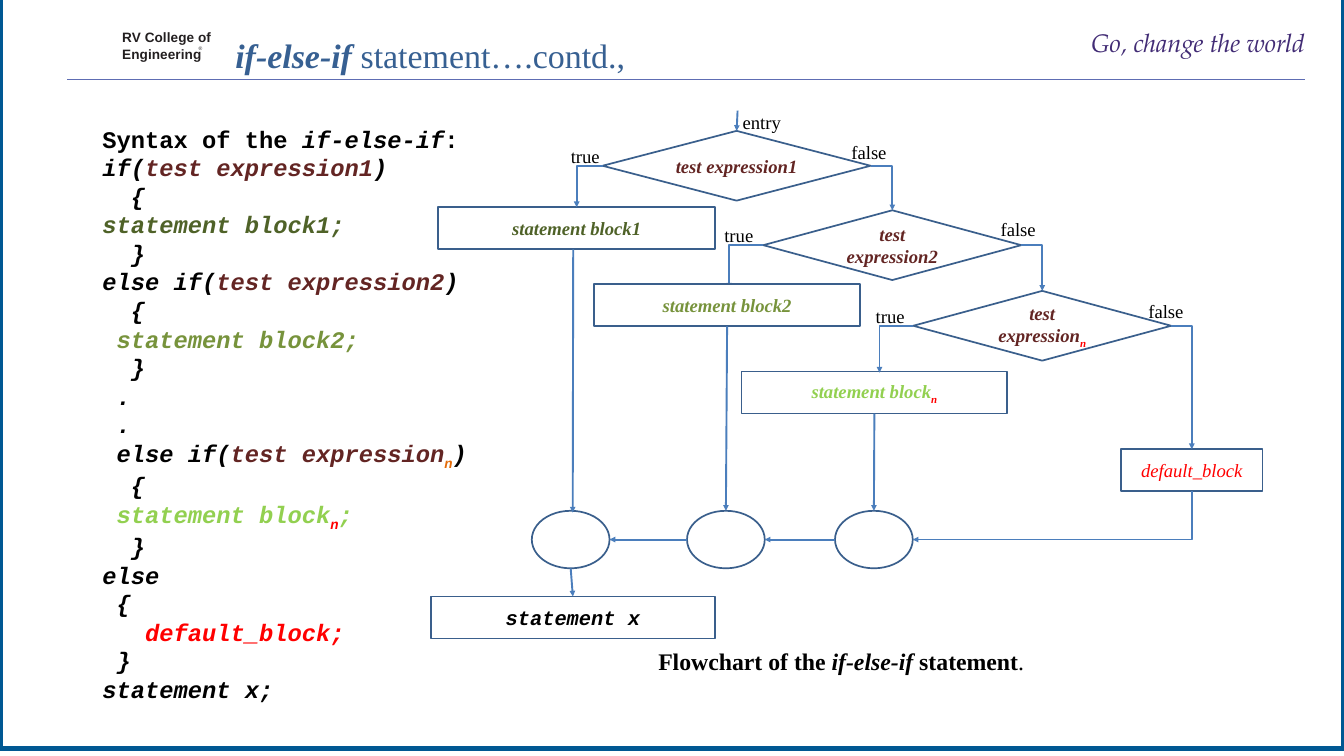
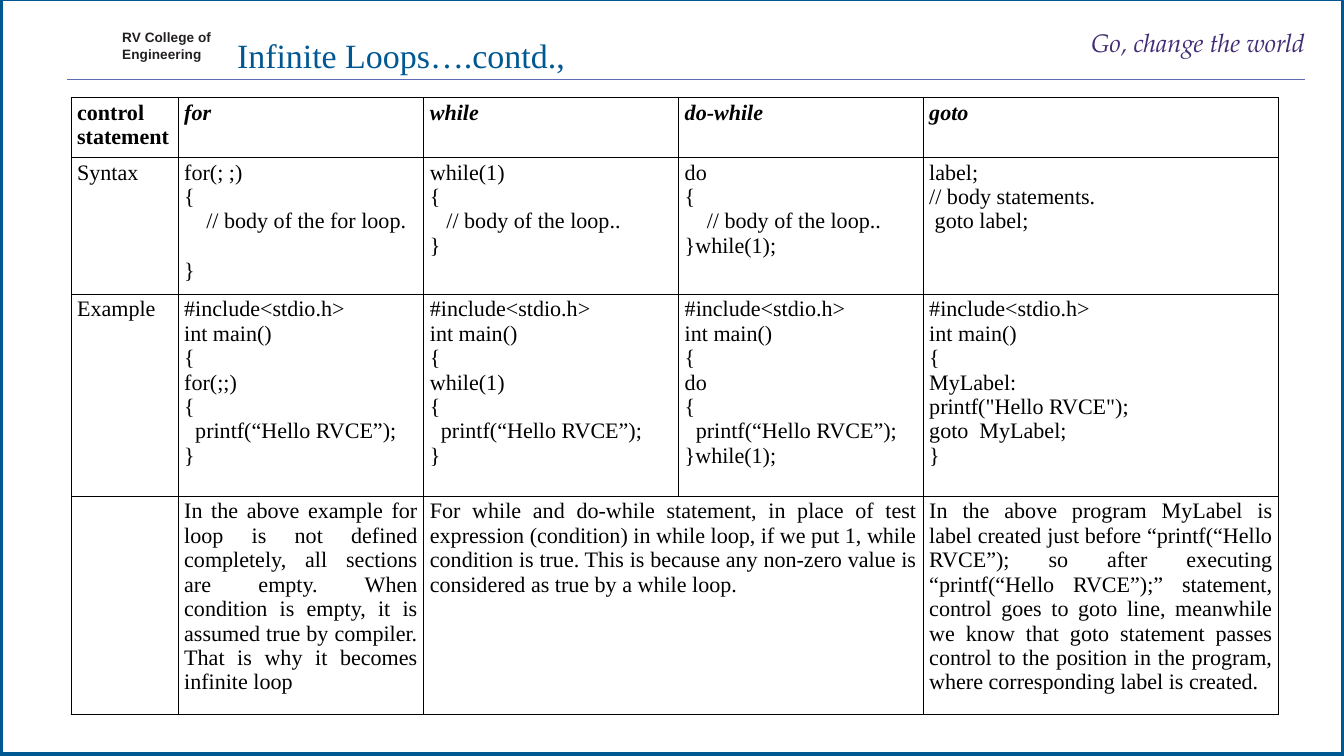
from lxml import etree
from pptx import Presentation, util as u
from pptx.dml.color import RGBColor
from pptx.enum import shapes, text
from pptx.oxml.ns import qn

Cm, Pt = u.Cm, u.Pt
COLORS = {
    "frame": "005893", "rule": "5E6DB3", "school": "231F20", "motto": "422C75",
    "title": "376092", "outline": "3A5F8C", "arrow": "4B7EBC", "black": "000000",
    "white": "FFFFFF", "test": "632523", "block1": "4F6228", "block2": "77933C",
    "blockn": "92D050", "red": "FF0000", "orange": "E46C0A",
}
SERIF, MONO = "Times New Roman", "Courier New"
TOP, LEFT, BOTTOM, RIGHT = range(4)
WIDTH, HEIGHT = 55.85, 31.42
START = "#include<stdio.h>\nint main()\n{\n"
TABLE_COLUMNS = [4.45, 10.21, 10.59, 10.16, 14.78]
TABLE_ROWS = [2.48, 5.33, 8.4, 8.4]
TABLE_TEXT = [
    ["control statement", "for", "while", "do-while", "goto"],
    ["Syntax",
     "for(; ;)\n{\n    // body of the for loop.\n}",
     "while(1)\n{\n   // body of the loop..\n}",
     "do\n{\n    // body of the loop..\n}while(1);",
     "label;\n// body statements.\n goto label;"],
    ["Example",
     START + "for(;;)\n{\n  printf(“Hello RVCE”);\n}",
     START + "while(1)\n{\n  printf(“Hello RVCE”);\n}",
     START + "do\n{\n  printf(“Hello RVCE”);\n}while(1);",
     START + 'MyLabel:\nprintf("Hello RVCE");\ngoto  MyLabel;\n}'],
    ["",
     "In the above example for loop is not defined completely, all sections are empty. "
     "When condition is empty, it is assumed true by compiler. "
     "That is why it becomes infinite loop",
     "For while and do-while statement, in place of test expression (condition) in while "
     "loop, if we put 1, while condition is true. This is because any non-zero value is "
     "considered as true by a while loop.",
     "",
     "In the above program MyLabel is label created just before “printf(“Hello RVCE”); so "
     "after executing “printf(“Hello RVCE”);” statement, control goes to goto line, meanwhile "
     "we know that goto statement passes control to the position in the program, where "
     "corresponding label is created."],
]


def rgb(name):
    return RGBColor.from_string(COLORS[name])


def style_run(run, size=22, font=SERIF, color="black", bold=False, italic=False,
              sub=False, spacing=0):
    run.font.size, run.font.name = Pt(size), font
    run.font.bold, run.font.italic = bold, italic
    run.font.color.rgb = rgb(color)
    properties = run._r.get_or_add_rPr()
    if sub:
        properties.set("baseline", "-25000")
    if spacing:
        properties.set("spc", str(spacing))


def write(frame, paragraphs, align=None, line=None, before=0, **fmt):
    """Fill a frame; a paragraph is a string or a list of strings and (string, format) runs."""
    for i, content in enumerate(paragraphs):
        paragraph = frame.paragraphs[0] if i == 0 else frame.add_paragraph()
        paragraph.alignment = align
        if line:
            paragraph.line_spacing = Pt(line)
        if before and i:
            paragraph.space_before = Pt(before)
        for part in [content] if isinstance(content, str) else content:
            words, extra = (part, {}) if isinstance(part, str) else part
            run = paragraph.add_run()
            run.text = words
            style_run(run, **{**fmt, **extra})


def label(slide, x, y, w, h, paragraphs, inset=True, wrap=True, **fmt):
    frame = slide.shapes.add_textbox(Cm(x), Cm(y), Cm(w), Cm(h)).text_frame
    frame.word_wrap = wrap
    if not inset:
        frame.margin_left = frame.margin_right = 0
        frame.margin_top = frame.margin_bottom = 0
    write(frame, paragraphs, **fmt)


def node(slide, kind, x, y, w, h, content=None, fill=None, line="outline", weight=2, **fmt):
    shape = slide.shapes.add_shape(kind, Cm(x), Cm(y), Cm(w), Cm(h))
    shape.shadow.inherit = False
    if fill:
        shape.fill.solid()
        shape.fill.fore_color.rgb = rgb(fill)
    else:
        shape.fill.background()
    shape.line.color.rgb = rgb(line)
    shape.line.width = Pt(weight)
    if content:
        shape.text_frame.word_wrap = True
        shape.text_frame.vertical_anchor = text.MSO_ANCHOR.MIDDLE
        write(shape.text_frame, [content], align=text.PP_ALIGN.CENTER, **fmt)
    return shape


def decision(slide, x, y, w, content):
    return node(slide, shapes.MSO_SHAPE.DIAMOND, x, y, w, 2.9, content,
                color="test", bold=True, italic=True)


def block(slide, x, y, w, content, **fmt):
    return node(slide, shapes.MSO_SHAPE.RECTANGLE, x, y, w, 1.75, content,
                fill="white", **{"italic": True, "bold": True, **fmt})


def side(shape, which):
    """Middle of one side of a shape, in cm."""
    x, y, w, h = (v.cm for v in (shape.left, shape.top, shape.width, shape.height))
    return {TOP: (x + w / 2, y), LEFT: (x, y + h / 2),
            BOTTOM: (x + w / 2, y + h), RIGHT: (x + w, y + h / 2)}[which]


def connect(slide, start, end, color="arrow", weight=2.25, arrow="tailEnd", bent=False,
            join_start=None, join_end=None):
    """Line between points; join_start and join_end are (shape, side) pairs."""
    kind = shapes.MSO_CONNECTOR.ELBOW if bent else shapes.MSO_CONNECTOR.STRAIGHT
    line = slide.shapes.add_connector(kind, *(Cm(v) for v in (*start, *end)))
    if join_start:
        line.begin_connect(*join_start)
    if join_end:
        line.end_connect(*join_end)
    line.line.color.rgb = rgb(color)
    line.line.width = Pt(weight)
    properties = line._element.spPr
    if bent:
        properties.find(qn("a:prstGeom")).set("prst", "bentConnector2")
    if arrow:
        etree.SubElement(properties.find(qn("a:ln")), qn("a:" + arrow), type="triangle")
    etree.SubElement(properties, qn("a:effectLst"))


def base_slide(deck, frame_top, title_left, title, color):
    slide = deck.slides.add_slide(deck.slide_layouts[6])
    node(slide, shapes.MSO_SHAPE.RECTANGLE, 0, frame_top, WIDTH, HEIGHT,
         fill="white", line="frame", weight=6)
    connect(slide, (2.8, 3.3), (54.25, 3.3), color="rule", weight=1.25, arrow=None)
    label(slide, 5.08, 1.27, 3.81, 1.37, ["RV College of", "Engineering"], inset=False,
          size=16, font="Arial", color="school", bold=True, spacing=10, line=17.9, before=1.4)
    label(slide, 44.02, 1.14, 10.21, 1.3, ["Go, change the world"], inset=False, size=30,
          font="TeX Gyre Pagella", color="motto", italic=True, align=text.PP_ALIGN.RIGHT)
    label(slide, title_left, 1.32, 16.9, 1.96, [title], wrap=False, size=40, color=color)
    return slide


def syntax_listing(slide):
    test, first, second = ({"color": c} for c in ("test", "block1", "block2"))
    nth, red = {"color": "blockn"}, {"color": "red"}
    lines = [
        [("Syntax of the ", {"italic": False}), "if-else-if", (":", {"italic": False})],
        ["if(", ("test expression1", test), ")"],
        "  {", [("statement block1;", first)], "  }",
        ["else if(", ("test expression2", test), ")"],
        "  {", [(" statement block2;", second)], "  }", " .", " .",
        [" else if(", ("test expression", test), ("n", {"color": "orange", "sub": True}), ")"],
        "  {",
        [(" statement block", nth), ("n", {**red, "sub": True}), (";", nth)],
        "  }", "else", " {", [("   default_block;", red)], " }", "statement x;",
    ]
    label(slide, 4.01, 5.05, 16.08, 24.21, lines, size=28, font=MONO, bold=True, italic=True)


def flowchart(slide):
    red_n = ("n", {"color": "red", "sub": True})
    test1 = decision(slide, 25.04, 5.44, 11.14, ["test expression1"])
    test2 = decision(slide, 31.72, 8.74, 10.72, ["test expression2"])
    test_n = decision(slide, 37.95, 12.09, 10.72, ["test expression", red_n])

    connect(slide, side(test2, LEFT), (30.3, 11.99), bent=True)
    block1 = block(slide, 18.21, 8.61, 11.51, ["statement block1"], color="block1")
    block2 = block(slide, 24.69, 11.81, 11.05, ["statement block2"], color="block2")
    block_n = block(slide, 30.81, 15.44, 11.05, ["statement block", red_n], color="blockn")
    default = block(slide, 46.58, 18.67, 5.89, ["default_block"], color="red", bold=False)
    last = block(slide, 17.91, 24.79, 11.79, ["statement x"], size=24, font=MONO)
    join1, join2, join_n = (node(slide, shapes.MSO_SHAPE.OVAL, x, 21.23, 3.23, 2.39)
                            for x in (22.1, 28.55, 34.7))

    for start, end in [
        (side(test1, LEFT), side(block1, TOP)),
        (side(test1, RIGHT), side(test2, TOP)),
        (side(test2, RIGHT), side(test_n, TOP)),
        (side(test_n, LEFT), (36.55, 15.49)),
        (side(test_n, RIGHT), side(default, TOP)),
    ]:
        connect(slide, start, end, bent=True)
    connect(slide, side(join_n, RIGHT), side(default, BOTTOM), bent=True, arrow="headEnd")

    connect(slide, (30.65, 4.6), side(test1, TOP), join_end=(test1, TOP))
    connect(slide, (23.82, 10.36), (23.8, 21.3))
    for source, circle in [(block2, join2), (block_n, join_n)]:
        connect(slide, side(source, BOTTOM), side(circle, TOP), join_start=(source, BOTTOM))
    for source, target in [(join_n, join2), (join2, join1)]:
        connect(slide, side(source, LEFT), side(target, RIGHT))
    connect(slide, side(join1, BOTTOM), side(last, TOP), join_end=(last, TOP))

    for words, x, y in [
        ("entry", 30.61, 4.5), ("true", 23.47, 5.89), ("false", 35.13, 5.74),
        ("true", 29.85, 9.17), ("false", 41.33, 8.92),
        ("true", 36.14, 12.55), ("false", 47.47, 12.32),
    ]:
        label(slide, x, y, 3.48, 1.19, [words])
    label(slide, 23.27, 26.75, 23.37, 1.45,
          [["Flowchart of the ", ("if-else-if", {"italic": True}), " statement",
            (".", {"bold": False})]],
          size=28, bold=True, align=text.PP_ALIGN.CENTER)


def border_cell(cell):
    cell.fill.background()
    properties = cell._tc.get_or_add_tcPr()
    for i, edge in enumerate(("lnL", "lnR", "lnT", "lnB")):
        line = etree.Element(qn("a:" + edge), w=str(Pt(1)))
        fill = etree.SubElement(line, qn("a:solidFill"))
        etree.SubElement(fill, qn("a:srgbClr"), val=COLORS["black"])
        properties.insert(i, line)


def loop_table(slide):
    table = slide.shapes.add_table(
        len(TABLE_ROWS), len(TABLE_COLUMNS), Cm(2.95), Cm(4.06),
        Cm(sum(TABLE_COLUMNS)), Cm(sum(TABLE_ROWS))).table
    table.first_row = table.horz_banding = False
    for column, width in zip(table.columns, TABLE_COLUMNS):
        column.width = Cm(width)
    for row, height in zip(table.rows, TABLE_ROWS):
        row.height = Cm(height)
    table.cell(3, 2).merge(table.cell(3, 3))
    for r, contents in enumerate(TABLE_TEXT):
        for c, words in enumerate(contents):
            cell = table.cell(r, c)
            border_cell(cell)
            if words:
                write(cell.text_frame, words.split("\n"), align=text.PP_ALIGN.JUSTIFY,
                      size=26, bold=r == 0, italic=r == 0 and c > 0)
    table.cell(1, 1).text_frame.paragraphs[2].space_after = Pt(29)


def main():
    deck = Presentation()
    deck.slide_width, deck.slide_height = Cm(WIDTH), Cm(HEIGHT)

    branches = base_slide(
        deck, -0.3, 9.53,
        [("if-else-if", {"bold": True, "italic": True}), " statement….contd.,"], "title")
    label(branches, 8.25, 1.9, 0.3, 0.3, ["®"], inset=False, wrap=False,
          size=6, font="Arial", color="school")
    syntax_listing(branches)
    flowchart(branches)

    loops = base_slide(deck, -0.05, 9.6, "Infinite Loops….contd.,", "frame")
    loop_table(loops)
    deck.save("out.pptx")


if __name__ == "__main__":
    main()
